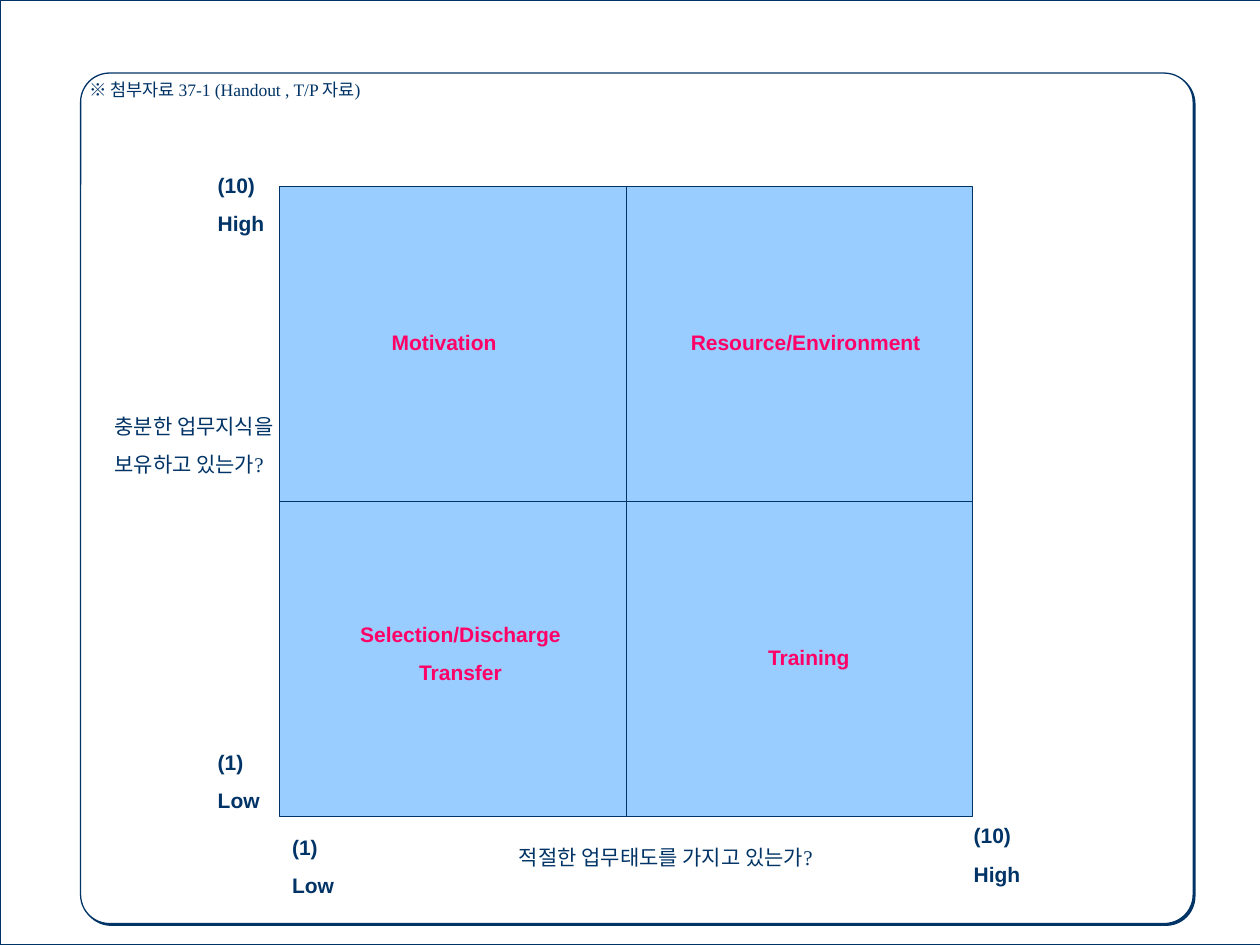
"""Build a two-by-two diagnosis matrix of job knowledge against work attitude."""
from lxml.etree import SubElement
from pptx import Presentation
from pptx.dml.color import RGBColor
from pptx.enum.shapes import MSO_CONNECTOR as Connector, MSO_SHAPE as Shape
from pptx.enum.text import MSO_AUTO_SIZE as AutoSize, PP_ALIGN as Align
from pptx.oxml.ns import qn
from pptx.util import Inches, Pt

NAVY, SKY, PINK, WHITE = "003366", "99CCFF", "FF0066", "FFFFFF"
MATRIX_LEFT, MATRIX_TOP, MATRIX_WIDTH, MATRIX_HEIGHT = 2.22, 1.48, 5.5, 5


def color(hex_code):
    """Turn a hex string into a colour."""
    return RGBColor.from_string(hex_code)


def add_panel(slide, kind, box, fill):
    """Add a filled, navy-outlined panel without shadow."""
    panel = slide.shapes.add_shape(kind, *map(Inches, box))
    panel.shadow.inherit = False
    panel.fill.solid()
    panel.fill.fore_color.rgb = color(fill)
    panel.line.color.rgb = color(NAVY)
    panel.line.width = Pt(0.75)
    return panel


def add_hard_shadow(panel):
    """Give a panel a sharp navy shadow toward the lower right."""
    effects = panel._element.spPr.find(qn("a:effectLst"))
    shadow = SubElement(effects, qn("a:outerShdw"), blurRad="0",
                        dist=str(Pt(1.4)), dir=str(45 * 60000),
                        algn="ctr", rotWithShape="0")
    SubElement(shadow, qn("a:srgbClr"), val=NAVY)


def add_divider(slide, start, end):
    """Add a thin navy line between two points."""
    divider = slide.shapes.add_connector(
        Connector.STRAIGHT, *map(Inches, start + end))
    divider.line.color.rgb = color(NAVY)
    divider.line.width = Pt(0.75)
    SubElement(divider._element.spPr, qn("a:effectLst"))


def add_label(slide, box, lines, font="Arial", size=12, ink=NAVY, align=Align.LEFT):
    """Add an unwrapped label with one paragraph per line; Arial is bold."""
    frame = slide.shapes.add_textbox(*map(Inches, box)).text_frame
    frame.word_wrap = False
    frame.auto_size = AutoSize.SHAPE_TO_FIT_TEXT
    for index, line in enumerate(lines):
        paragraph = frame.add_paragraph() if index else frame.paragraphs[0]
        paragraph.alignment = align
        if index:
            paragraph.space_before = Pt(7.5)
        run = paragraph.add_run()
        run.text = line
        run.font.name = font
        run.font.size = Pt(size)
        run.font.bold = font == "Arial"
        run.font.color.rgb = color(ink)


def add_matrix(slide):
    """Add the square field and the two lines that quarter it."""
    right, bottom = MATRIX_LEFT + MATRIX_WIDTH, MATRIX_TOP + MATRIX_HEIGHT
    middle_x = MATRIX_LEFT + MATRIX_WIDTH / 2
    middle_y = MATRIX_TOP + MATRIX_HEIGHT / 2
    add_panel(slide, Shape.RECTANGLE,
              (MATRIX_LEFT, MATRIX_TOP, MATRIX_WIDTH, MATRIX_HEIGHT), SKY)
    add_divider(slide, (MATRIX_LEFT, middle_y), (right, middle_y))
    add_divider(slide, (middle_x, MATRIX_TOP), (middle_x, bottom))


def main():
    """Build and save the slide."""
    deck = Presentation()
    deck.slide_width, deck.slide_height = Inches(10), Inches(7.5)
    slide = deck.slides.add_slide(deck.slide_layouts[6])

    add_panel(slide, Shape.RECTANGLE, (0, 0, 10.25, 7.5), WHITE)
    card = add_panel(slide, Shape.ROUNDED_RECTANGLE, (0.64, 0.58, 8.83, 6.75), WHITE)
    card.adjustments[0] = 0.034
    add_hard_shadow(card)
    add_matrix(slide)

    quadrants = [
        ((3.01, 2.57, 1.03, 0.3), ["Motivation"]),
        ((2.76, 4.88, 1.79, 0.61), ["Selection/Discharge", "Transfer"]),
        ((5.99, 5.07, 0.86, 0.3), ["Training"]),
        ((5.36, 2.57, 2.07, 0.3), ["Resource/Environment"]),
    ]
    for box, lines in quadrants:
        add_label(slide, box, lines, ink=PINK, align=Align.CENTER)

    high, low = ["(10)", "High"], ["(1)", "Low"]
    scale_ends = [(1.63, 1.32, high), (1.63, 5.9, low),
                  (2.22, 6.57, low), (7.63, 6.48, high)]
    for left, top, lines in scale_ends:
        add_label(slide, (left, top, 0.57 if lines is high else 0.53, 0.61), lines)

    serif = "Times New Roman"
    add_label(slide, (0.81, 3.23, 1.59, 0.61),
              ["충분한 업무지식을", "보유하고 있는가?"], serif)
    add_label(slide, (4.02, 6.65, 2.76, 0.3),
              ["적절한 업무태도를 가지고 있는가?"], serif)
    add_label(slide, (0.61, 0.58, 2.59, 0.27),
              ["※ 첨부자료 37-1 (Handout , T/P 자료)"], serif, size=10)
    deck.save("out.pptx")


if __name__ == "__main__":
    main()
